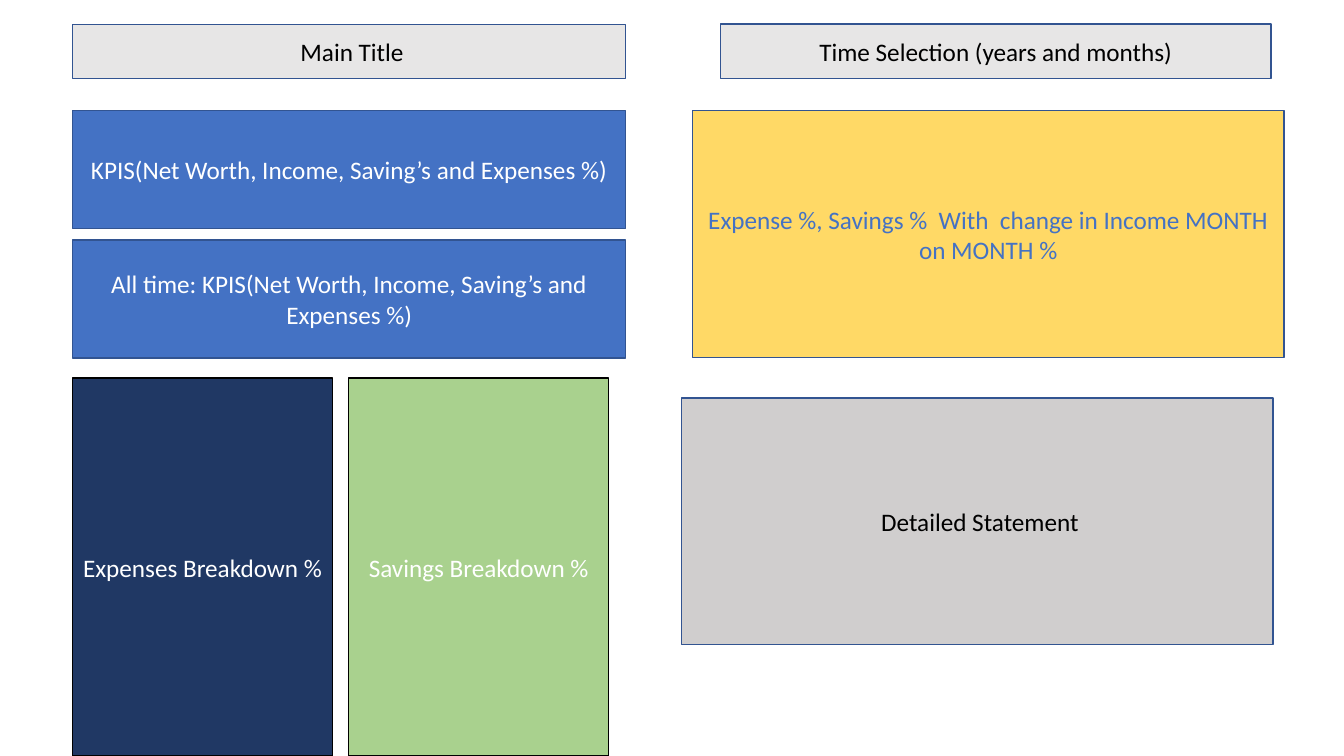
from dataclasses import dataclass

from pptx import Presentation
from pptx.dml.color import RGBColor
from pptx.enum.shapes import MSO_SHAPE
from pptx.enum.text import MSO_ANCHOR, MSO_AUTO_SIZE, PP_ALIGN
from pptx.shapes.autoshape import Shape
from pptx.util import Cm, Pt

BLACK = RGBColor(0x00, 0x00, 0x00)
WHITE = RGBColor(0xFF, 0xFF, 0xFF)
BLUE = RGBColor(0x44, 0x72, 0xC4)
EDGE_BLUE = RGBColor(0x32, 0x54, 0x91)
NAVY = RGBColor(0x20, 0x38, 0x64)
GREEN = RGBColor(0xA9, 0xD1, 0x8E)
YELLOW = RGBColor(0xFF, 0xD9, 0x66)
PALE_GREY = RGBColor(0xE7, 0xE6, 0xE6)
GREY = RGBColor(0xD0, 0xCE, 0xCE)

LEFT = 1.83
LEFT_WIDTH = 13.94
HEADER_TOP, HEADER_HEIGHT = 0.61, 1.37
KPI_TOP, KPI_HEIGHT, KPI_STEP = 2.79, 2.97, 3.26
BREAKDOWN_TOP, BREAKDOWN_WIDTH, BREAKDOWN_STEP = 9.53, 6.55, 6.96
DETAIL_WIDTH, DETAIL_HEIGHT = 14.91, 6.22
SLIDE_WIDTH, SLIDE_HEIGHT = 33.87, 19.05


@dataclass(frozen=True)
class Panel:
    label: str
    left: float
    top: float
    width: float
    height: float
    fill: RGBColor
    ink: RGBColor
    edge: RGBColor = EDGE_BLUE


MAIN_TITLE = Panel(" Main Title", LEFT, HEADER_TOP, LEFT_WIDTH, HEADER_HEIGHT, PALE_GREY, BLACK)

KPI_LABEL = "KPIS(Net Worth, Income, Saving’s and Expenses %)"
KPIS = [
    Panel(label, LEFT, KPI_TOP + row * KPI_STEP, LEFT_WIDTH, KPI_HEIGHT, BLUE, WHITE)
    for row, label in enumerate((KPI_LABEL, f"All time: {KPI_LABEL}"))
]

BREAKDOWNS = [
    Panel(f"{subject} Breakdown %", LEFT + column * BREAKDOWN_STEP, BREAKDOWN_TOP,
          BREAKDOWN_WIDTH, SLIDE_HEIGHT - BREAKDOWN_TOP, fill, WHITE, BLACK)
    for column, (subject, fill) in enumerate((("Expenses", NAVY), ("Savings", GREEN)))
]

DETAILS = [
    Panel("Time Selection (years and months)", 18.16, HEADER_TOP, 13.87, HEADER_HEIGHT,
          PALE_GREY, BLACK),
    Panel("Expense %, Savings %  With  change in Income MONTH on MONTH %", 17.45, KPI_TOP,
          DETAIL_WIDTH, DETAIL_HEIGHT, YELLOW, BLUE),
    Panel(" Detailed Statement", 17.17, 10.03, DETAIL_WIDTH, DETAIL_HEIGHT, GREY, BLACK),
]


def format_panel(shape: Shape, panel: Panel) -> None:
    shape.fill.solid()
    shape.fill.fore_color.rgb = panel.fill
    shape.line.color.rgb = panel.edge
    shape.line.width = Pt(1)
    frame = shape.text_frame
    frame.text = panel.label
    frame.word_wrap = True
    frame.auto_size = MSO_AUTO_SIZE.NONE
    frame.vertical_anchor = MSO_ANCHOR.MIDDLE
    paragraph = frame.paragraphs[0]
    paragraph.alignment = PP_ALIGN.CENTER
    for run in paragraph.runs:
        run.font.name = "Calibri"
        run.font.size = Pt(18)
        run.font.color.rgb = panel.ink


def place_title(title: Shape, panel: Panel) -> None:
    title.left, title.top = Cm(panel.left), Cm(panel.top)
    title.width, title.height = Cm(panel.width), Cm(panel.height)
    format_panel(title, panel)


def add_panel(shapes, panel: Panel) -> None:
    box = shapes.add_shape(MSO_SHAPE.RECTANGLE, Cm(panel.left), Cm(panel.top),
                           Cm(panel.width), Cm(panel.height))
    box.shadow.inherit = False
    format_panel(box, panel)


deck = Presentation()
deck.slide_width, deck.slide_height = Cm(SLIDE_WIDTH), Cm(SLIDE_HEIGHT)
dashboard = deck.slides.add_slide(deck.slide_layouts.get_by_name("Title Only"))
place_title(dashboard.shapes.title, MAIN_TITLE)
for section in KPIS + BREAKDOWNS + DETAILS:
    add_panel(dashboard.shapes, section)
deck.save("out.pptx")
